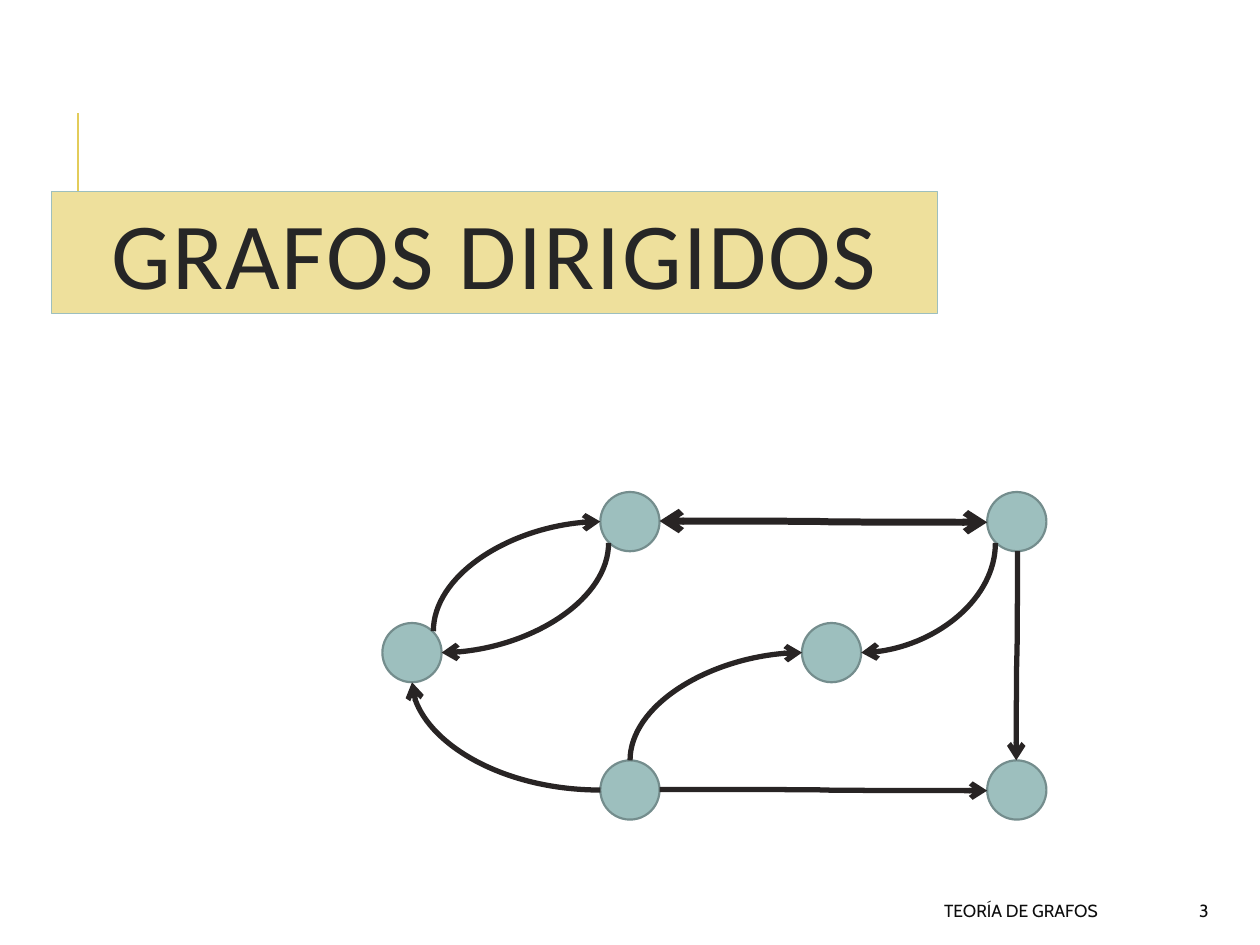
from dataclasses import dataclass

from lxml import etree
from pptx import Presentation
from pptx import util as u
from pptx.dml.color import RGBColor
from pptx.enum import shapes, text
from pptx.oxml.ns import qn

COLOURS = {
    "rule": "E3CC5A",
    "banner": "EEE09C",
    "node": "9DBFBE",
    "node_line": "748D8D",
    "edge": "282424",
    "title": "262626",
    "footer": "0D0D0D",
}
RADIUS = 0.235
DIAGONAL = 0.17
STRAIGHT_DRIFT = 0.01  # sideways drift of the nearly straight edges

# Node centres, in inches
NODES = {
    "left": (3.27, 5.18),
    "top": (5.0, 4.14),
    "bottom": (5.0, 6.27),
    "middle": (6.6, 5.18),
    "bottom_right": (8.07, 6.27),
    "top_right": (8.07, 4.14),
}
# Points on a node's rim, relative to its centre
PORTS = {
    "N": (0, -RADIUS),
    "S": (0, RADIUS),
    "E": (RADIUS, 0),
    "W": (-RADIUS, 0),
    "NE": (DIAGONAL, -DIAGONAL),
    "SW": (-DIAGONAL, DIAGONAL),
}


@dataclass
class Edge:
    source: str
    source_port: str
    target: str
    target_port: str
    rotation: int  # direction in which the edge leaves: 0 right, 90 vertical, 180 left
    bent: bool = True
    two_way: bool = False


@dataclass
class Label:
    words: str
    left: float
    top: float
    width: float
    height: float
    size: float
    font: str
    colour: str
    align: text.PP_ALIGN
    anchor: text.MSO_ANCHOR


EDGES = [
    Edge("left", "NE", "top", "W", 90),
    Edge("bottom", "N", "middle", "W", 90),
    Edge("top_right", "S", "bottom_right", "N", 90, bent=False),
    Edge("top_right", "SW", "middle", "E", 90),
    Edge("bottom", "E", "bottom_right", "W", 0, bent=False),
    Edge("top", "SW", "left", "E", 90),
    Edge("bottom", "W", "left", "S", 180),
    Edge("top", "E", "top_right", "W", 0, bent=False, two_way=True),
]
TITLE = Label("GRAFOS DIRIGIDOS", 0.41, 1.52, 7.03, 0.97, 54, "Calibri", "title",
              text.PP_ALIGN.CENTER, text.MSO_ANCHOR.BOTTOM)
FOOTERS = [
    Label(words, left, 7.08, width, 0.3, 10, "Cabin", "footer",
          text.PP_ALIGN.RIGHT, text.MSO_ANCHOR.MIDDLE)
    for words, left, width in [("3", 8.89, 0.8), ("TEORÍA DE GRAFOS", 3.97, 4.84)]
]


def colour(name: str) -> RGBColor:
    return RGBColor.from_string(COLOURS[name])


def paint(shape, fill: str, line: str, width: float) -> None:
    shape.shadow.inherit = False
    shape.fill.solid()
    shape.fill.fore_color.rgb = colour(fill)
    shape.line.color.rgb = colour(line)
    shape.line.width = u.Pt(width)


def add_label(slide, label: Label):
    shape = slide.shapes.add_textbox(*map(u.Inches, (label.left, label.top, label.width, label.height)))
    frame = shape.text_frame
    frame.word_wrap = True
    frame.vertical_anchor = label.anchor
    frame.text = label.words
    paragraph = frame.paragraphs[0]
    paragraph.alignment = label.align
    font = paragraph.runs[0].font
    font.size = u.Pt(label.size)
    font.name = label.font
    font.color.rgb = colour(label.colour)
    return shape


def add_line(slide, kind: shapes.MSO_CONNECTOR, start: tuple, end: tuple, line: str, width: float):
    connector = slide.shapes.add_connector(kind, *map(u.Inches, (*start, *end)))
    connector.line.color.rgb = colour(line)
    connector.line.width = u.Pt(width)
    etree.SubElement(connector._element.spPr, qn("a:effectLst"))
    return connector


def add_node(slide, centre: tuple) -> None:
    x, y = centre
    node = slide.shapes.add_shape(shapes.MSO_SHAPE.OVAL, u.Inches(x - RADIUS), u.Inches(y - RADIUS),
                                  u.Inches(2 * RADIUS), u.Inches(2 * RADIUS))
    paint(node, "node", "node_line", 1.25)


def port_position(node: str, port: str) -> tuple:
    return tuple(centre + offset for centre, offset in zip(NODES[node], PORTS[port]))


def add_edge(slide, edge: Edge) -> None:
    x1, y1 = port_position(edge.source, edge.source_port)
    x2, y2 = port_position(edge.target, edge.target_port)
    dx, dy = x2 - x1, y2 - y1
    # Extent before rotation; the sign of each side becomes a flip
    width, height = {0: (dx, dy), 90: (dy, -dx), 180: (-dx, -dy)}[edge.rotation]
    if not edge.bent:
        height = STRAIGHT_DRIFT
    x, y = (x1 + x2) / 2, (y1 + y2) / 2
    connector = add_line(slide, shapes.MSO_CONNECTOR.CURVE,
                         (x - width / 2, y - height / 2), (x + width / 2, y + height / 2),
                         "edge", 4 if edge.two_way else 3)
    properties = connector._element.spPr
    if edge.rotation:
        properties.find(qn("a:xfrm")).set("rot", str(edge.rotation * 60000))
    if edge.bent:
        properties.find(qn("a:prstGeom")).set("prst", "curvedConnector2")
    line = properties.find(qn("a:ln"))
    for tag in ["a:headEnd", "a:tailEnd"] if edge.two_way else ["a:tailEnd"]:
        etree.SubElement(line, qn(tag), type="arrow")


def main() -> None:
    presentation = Presentation()
    presentation.slide_width, presentation.slide_height = u.Inches(10), u.Inches(7.5)
    slide = presentation.slides.add_slide(presentation.slide_layouts[6])

    # Title banner with its rule
    add_line(slide, shapes.MSO_CONNECTOR.STRAIGHT, (0.62, 1.9), (0.62, 0.9), "rule", 1.5)
    banner = add_label(slide, TITLE)
    paint(banner, "banner", "node", 0.75)
    paragraph = banner.text_frame.paragraphs[0]
    paragraph.line_spacing = 0.8
    paragraph.runs[0].font._element.set("spc", "100")

    # Footer
    for label in FOOTERS:
        add_label(slide, label)

    # Directed graph
    for centre in NODES.values():
        add_node(slide, centre)
    for edge in EDGES:
        add_edge(slide, edge)

    presentation.save("out.pptx")


if __name__ == "__main__":
    main()
